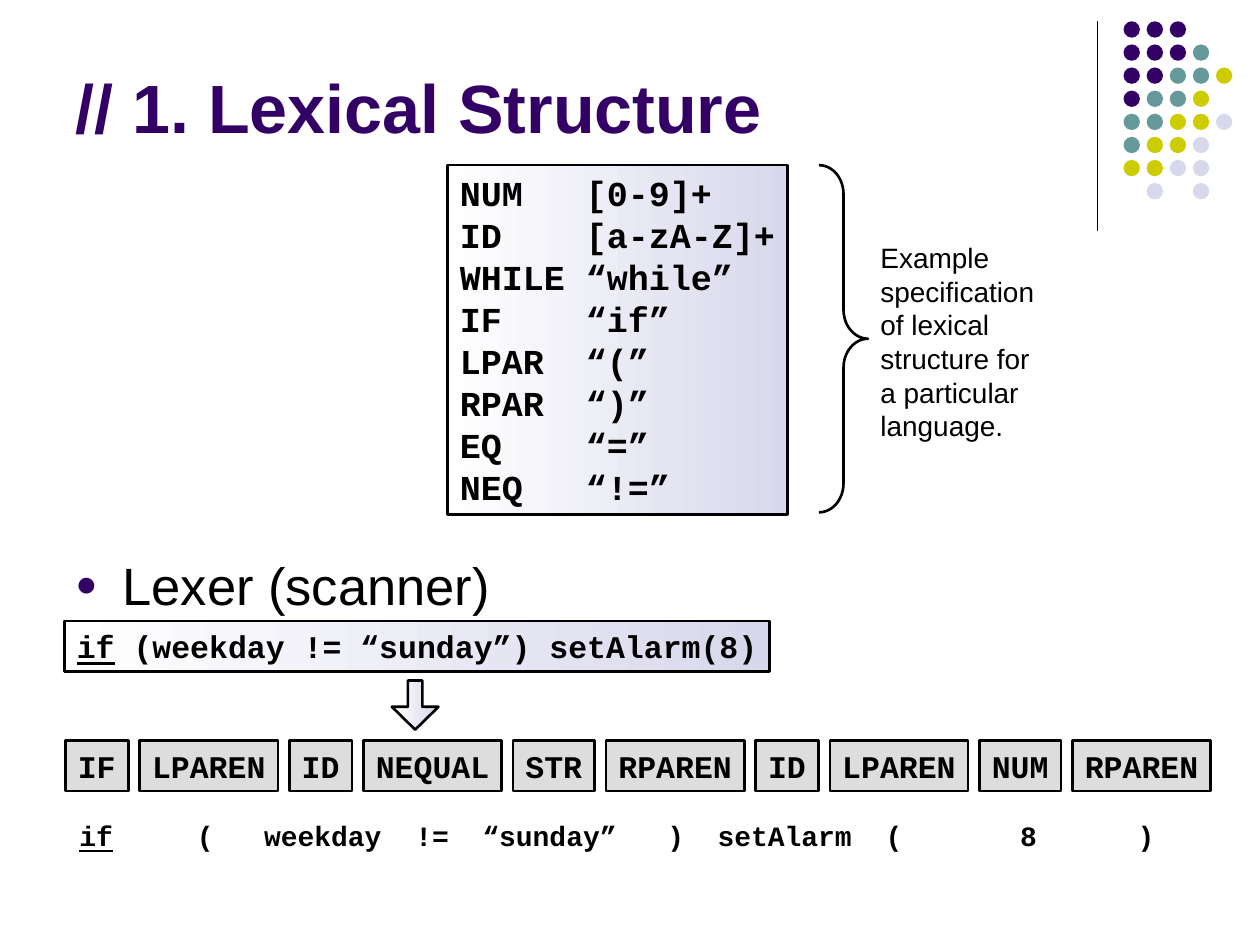
from lxml import etree
from pptx import Presentation
from pptx.dml.color import RGBColor
from pptx.enum.shapes import MSO_CONNECTOR, MSO_SHAPE
from pptx.enum.text import MSO_ANCHOR, MSO_AUTO_SIZE, PP_ALIGN
from pptx.oxml.ns import qn
from pptx.util import Cm, Pt

RECTANGLE = MSO_SHAPE.RECTANGLE
OVAL = MSO_SHAPE.OVAL
DOWN_ARROW = MSO_SHAPE.DOWN_ARROW
RIGHT_BRACE = MSO_SHAPE.RIGHT_BRACE
STRAIGHT = MSO_CONNECTOR.STRAIGHT
LEFT = PP_ALIGN.LEFT
TOP, BOTTOM = MSO_ANCHOR.TOP, MSO_ANCHOR.BOTTOM
NO_AUTOFIT = MSO_AUTO_SIZE.NONE

BLACK = RGBColor(0x00, 0x00, 0x00)
WHITE = RGBColor(0xFF, 0xFF, 0xFF)
PURPLE = RGBColor(0x33, 0x00, 0x66)
TEAL = RGBColor(0x66, 0x99, 0x99)
OLIVE = RGBColor(0xCC, 0xCC, 0x00)
LAVENDER = RGBColor(0xD8, 0xD8, 0xEC)
GREY = RGBColor(0xDD, 0xDD, 0xDD)

SANS, MONO = "Arial", "Courier New"
CHAR_EM = 0.6  # advance of one monospaced character

DOT_COLORS = {"P": PURPLE, "T": TEAL, "O": OLIVE, "L": LAVENDER}
DOT_ROWS = ["PPP", "PPPT", "PPTTO", "PTTO", "TTOOL", "TOOL", "OOLL", ".L.L"]

TOKEN_SPEC = [
    ("NUM", "[0-9]+"), ("ID", "[a-zA-Z]+"), ("WHILE", "“while”"),
    ("IF", "“if”"), ("LPAR", "“(”"), ("RPAR", "“)”"),
    ("EQ", "“=”"), ("NEQ", "“!=”"),
]
SPEC_NOTE = ["Example", "specification", "of lexical", "structure for",
             "a particular", "language."]
TOKENS = ["IF", "LPAREN", "ID", "NEQUAL", "STR",
          "RPAREN", "ID", "LPAREN", "NUM", "RPAREN"]
# Each lexeme with the character column where it starts
LEXEMES = [("if", 0), ("(", 7), ("weekday", 11), ("!=", 20), ("“sunday”", 24),
           (")", 35), ("setAlarm", 38), ("(", 48), ("8", 56), (")", 63)]


def add_element(parent, tag, **attributes):
    element = etree.SubElement(parent, qn(tag))
    for key, value in attributes.items():
        element.set(key, str(value))
    return element


def add_runs(paragraph, runs, size, font=MONO, bold=True, color=BLACK):
    """Each run is a text and whether it is underlined."""
    paragraph.alignment = LEFT
    for text, underlined in runs:
        run = paragraph.add_run()
        run.text = text
        run.font.name, run.font.size, run.font.bold = font, Pt(size), bold
        run.font.color.rgb = color
        if underlined:
            run.font.underline = True


def set_tabs(paragraph, columns, size):
    """Put a left tab stop at each character column."""
    tab_list = add_element(paragraph._p.get_or_add_pPr(), "a:tabLst")
    for column in columns:
        add_element(tab_list, "a:tab", pos=Pt(column * size * CHAR_EM), algn="l")


def add_plain_shape(slide, kind, box, fill=None, outlined=True):
    """A colour fills evenly; a pair of colours runs from left to right."""
    shape = slide.shapes.add_shape(kind, *map(Cm, box))
    shape.shadow.inherit = False
    if fill is None:
        shape.fill.background()
    elif isinstance(fill, RGBColor):
        shape.fill.solid()
        shape.fill.fore_color.rgb = fill
    else:
        shape.fill.gradient()
        shape.fill.gradient_angle = 0
        for stop, color in zip(shape.fill.gradient_stops, fill):
            stop.color.rgb = color
    if outlined:
        shape.line.color.rgb = BLACK
        shape.line.width = Pt(1.5)
    else:
        shape.line.fill.background()
    return shape


def add_code_box(slide, box, fill):
    frame = add_plain_shape(slide, RECTANGLE, box, fill).text_frame
    frame.word_wrap = False
    frame.vertical_anchor = TOP
    return frame


def add_label(slide, box):
    frame = slide.shapes.add_textbox(*map(Cm, box)).text_frame
    frame.word_wrap = True
    return frame


def place_title(slide, box):
    title = slide.shapes.title
    title.left, title.top, title.width, title.height = map(Cm, box)
    frame = title.text_frame
    frame.vertical_anchor = BOTTOM
    frame.auto_size = NO_AUTOFIT
    add_runs(frame.paragraphs[0], [("// 1. Lexical Structure", False)],
             39, SANS, color=PURPLE)


def draw_corner(slide, box):
    """Vertical rule with a grid of coloured dots to its right."""
    left, top, _, height = box
    rule = slide.shapes.add_connector(
        STRAIGHT, Cm(left), Cm(top), Cm(left), Cm(top + height))
    rule.line.color.rgb = BLACK
    rule.line.width = Pt(0.75)
    add_element(rule._element.spPr, "a:effectLst")

    dot, grid_left, grid_height = 0.33, left + 0.53, 3.59
    pitch = (grid_height - dot) / (len(DOT_ROWS) - 1)
    for row, colors in enumerate(DOT_ROWS):
        for column, key in enumerate(colors):
            if key in DOT_COLORS:
                add_plain_shape(
                    slide, OVAL,
                    (grid_left + column * pitch, top + row * pitch, dot, dot),
                    DOT_COLORS[key], outlined=False)


def draw_specification(slide, box):
    """Token definitions, a brace and the note beside it."""
    left, top, _, height = box
    frame = add_code_box(slide, (left, top, 6.86, height), (WHITE, LAVENDER))
    for index, (name, pattern) in enumerate(TOKEN_SPEC):
        paragraph = frame.add_paragraph() if index else frame.paragraphs[0]
        set_tabs(paragraph, [6], 20)
        add_runs(paragraph, [(f"{name}\t{pattern}", False)], 20)

    brace = add_plain_shape(slide, RIGHT_BRACE, (left + 7.49, top, 0.99, 7))
    brace.adjustments[0] = 0.59

    note = add_label(slide, (left + 8.48, top + 1.4, 3.61, 4.32))
    for index, line in enumerate(SPEC_NOTE):
        paragraph = note.add_paragraph() if index else note.paragraphs[0]
        add_runs(paragraph, [(line, False)], 16, SANS, bold=False)


def draw_lexer(slide, box):
    """Heading, source line, arrow, tokens and their lexemes."""
    left, top, width, _ = box

    # Bulleted heading
    heading = add_label(slide, (left - 0.03, top, 12, 1.47)).paragraphs[0]
    properties = heading._p.get_or_add_pPr()
    properties.set("marL", str(Cm(0.95)))
    properties.set("indent", str(-Cm(0.95)))
    bullet_color = add_element(properties, "a:buClr")
    add_element(bullet_color, "a:srgbClr", val=PURPLE)
    add_element(properties, "a:buSzPct", val=70000)
    add_element(properties, "a:buFont", typeface=SANS)
    add_element(properties, "a:buChar", char="●")
    add_runs(heading, [("Lexer (scanner)", False)], 30, SANS, bold=False)

    # Source line and arrow
    source = add_code_box(slide, (left, top + 1.5, 14.22, 1.02),
                          (WHITE, LAVENDER))
    add_runs(source.paragraphs[0],
             [("if", True), (" (weekday != “sunday”) setAlarm(8)", False)], 18)
    arrow = add_plain_shape(slide, DOWN_ARROW,
                            (left + 6.6, top + 2.7, 0.94, 0.99),
                            (WHITE, LAVENDER))
    arrow.adjustments[0], arrow.adjustments[1] = 0.31, 0.49

    # Tokens, as wide as their names, with equal gaps
    widths = [0.38 * len(token) + 0.51 for token in TOKENS]
    gap = (width - sum(widths)) / (len(TOKENS) - 1)
    token_left = left + 0.02
    for token, token_width in zip(TOKENS, widths):
        frame = add_code_box(
            slide, (token_left, top + 3.91, token_width, 1.02), GREY)
        add_runs(frame.paragraphs[0], [(token, False)], 18)
        token_left += token_width + gap

    # Lexemes
    lexemes = add_label(slide, (left + 0.05, top + 5.36, 22.3, 0.94))
    paragraph = lexemes.paragraphs[0]
    set_tabs(paragraph, [column for _, column in LEXEMES[1:]], 16)
    keyword, *others = [text for text, _ in LEXEMES]
    add_runs(paragraph, [(keyword, True)]
             + [(f"\t{text}", False) for text in others], 16)


def main():
    presentation = Presentation()
    presentation.slide_width, presentation.slide_height = Cm(25.4), Cm(19.05)
    slide = presentation.slides.add_slide(presentation.slide_layouts[5])
    draw_corner(slide, (22.12, 0.43, 2.75, 4.22))
    place_title(slide, (1.27, 0.43, 20.96, 2.67))
    draw_specification(slide, (9.02, 3.33, 12.09, 7.04))
    draw_lexer(slide, (1.3, 11.02, 23.09, 6.3))
    presentation.save("out.pptx")


if __name__ == "__main__":
    main()
